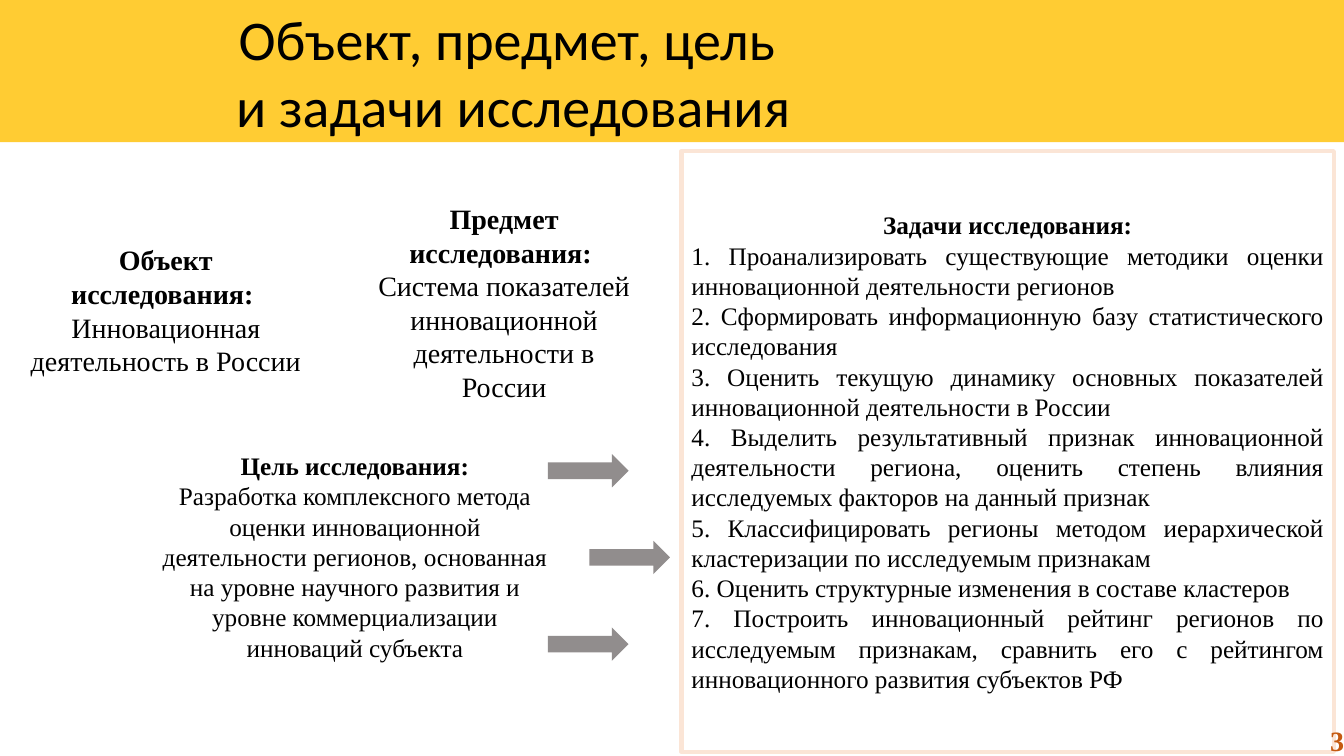
from lxml import etree
from pptx import Presentation
from pptx.dml.color import RGBColor
from pptx.enum import shapes, text
from pptx.oxml import ns
from pptx.util import Inches, Pt

SERIF = "Times New Roman"
CENTER = text.PP_ALIGN.CENTER
JUSTIFY = text.PP_ALIGN.JUSTIFY
RIGHT = text.PP_ALIGN.RIGHT
MIDDLE = text.MSO_ANCHOR.MIDDLE

TASKS = [
    "1. Проанализировать существующие методики оценки инновационной деятельности регионов",
    "2. Сформировать информационную базу статистического исследования",
    "3. Оценить текущую динамику основных показателей инновационной деятельности в России",
    "4. Выделить результативный признак инновационной деятельности региона, "
    "оценить степень влияния исследуемых факторов на данный признак",
    "5. Классифицировать регионы методом иерархической кластеризации по исследуемым признакам",
    "6. Оценить структурные изменения в составе кластеров",
    "7. Построить инновационный рейтинг регионов по исследуемым признакам, "
    "сравнить его с рейтингом инновационного развития субъектов РФ",
]
STATEMENTS = [
    ((0.19, 2.36, 2.91, 1.45), 20, "Объект исследования: ",
     "Инновационная деятельность в России"),
    ((3.62, 1.95, 2.76, 2.12), 20, "Предмет исследования: ",
     "Система показателей инновационной деятельности в России"),
    ((1.48, 4.42, 4.08, 2.22), 18, "Цель исследования:",
     "Разработка комплексного метода оценки инновационной деятельности регионов, "
     "основанная на уровне научного развития и уровне коммерциализации инноваций субъекта"),
]


def rgb(value):
    return RGBColor.from_string(value)


def inches(box):
    return [Inches(v) for v in box]


def write(tf, lines, size, align, font=SERIF, color="000000"):
    tf.word_wrap = True
    for i, (line, bold) in enumerate(lines):
        p = tf.paragraphs[0] if i == 0 else tf.add_paragraph()
        p.text = line
        p.alignment = align
        p.font.size = Pt(size)
        p.font.name = font
        p.font.bold = bold
        p.font.color.rgb = rgb(color)


def add_filled(slide, kind, box, color):
    sp = slide.shapes.add_shape(kind, *inches(box))
    sp.shadow.inherit = False
    sp.line.fill.background()
    sp.fill.solid()
    sp.fill.fore_color.rgb = rgb(color)
    clr = sp._element.spPr.find(".//" + ns.qn("a:srgbClr"))
    etree.SubElement(clr, ns.qn("a:alpha"), val="80000")
    return sp


def add_statement(slide, box, size, heading, body):
    sp = slide.shapes.add_textbox(*inches(box))
    write(sp.text_frame, [(heading, True), (body, False)], size, CENTER)


def add_arrows(slide, box, step, shift, count):
    left, top, width, height = box
    for i in range(count):
        place = (left + shift * (i % 2), top + step * i, width, height)
        sp = add_filled(slide, shapes.MSO_SHAPE.DOWN_ARROW, place, "767171")
        sp.rotation = 270


def add_tasks(slide, box):
    sp = slide.shapes.add_shape(shapes.MSO_SHAPE.RECTANGLE, *inches(box))
    sp.shadow.inherit = False
    sp.fill.background()
    sp.line.color.rgb = rgb("FBE5D6")
    sp.line.width = Pt(3)
    tf = sp.text_frame
    tf.vertical_anchor = MIDDLE
    lines = [("Задачи исследования:", True)] + [(task, False) for task in TASKS]
    write(tf, lines, 18, JUSTIFY)
    tf.paragraphs[0].alignment = CENTER


def add_page_number(slide, box, number):
    sp = slide.shapes.add_textbox(*inches(box))
    sp.text_frame.vertical_anchor = MIDDLE
    write(sp.text_frame, [(number, True)], 20, RIGHT, color="C55A11")


def add_header(slide, box):
    left, top, width, height = box
    add_filled(slide, shapes.MSO_SHAPE.RECTANGLE, box, "FFC000")
    title = slide.shapes.title
    title.left, title.top, title.width, title.height = inches(
        (left - 0.68, top - 0.01, width - 1.79, height + 0.04))
    tf = title.text_frame
    tf.auto_size = text.MSO_AUTO_SIZE.NONE
    tf.vertical_anchor = text.MSO_ANCHOR.TOP
    lines = [("Объект, предмет, цель ", False), ("и задачи исследования", False)]
    write(tf, lines, 40, CENTER, font="Calibri")
    title._element.getparent().append(title._element)


def main():
    prs = Presentation()
    prs.slide_width, prs.slide_height = inches((13.33, 7.5))
    slide = prs.slides.add_slide(prs.slide_layouts[5])
    for statement in STATEMENTS:
        add_statement(slide, *statement)
    add_arrows(slide, (5.67, 4.27, 0.33, 0.8), 0.86, 0.41, 3)
    add_tasks(slide, (6.76, 1.5, 6.47, 5.96))
    add_page_number(slide, (10.43, 7.14, 3, 0.4), "3")
    add_header(slide, (0, 0, 13.33, 1.41))
    prs.save("out.pptx")


if __name__ == "__main__":
    main()
